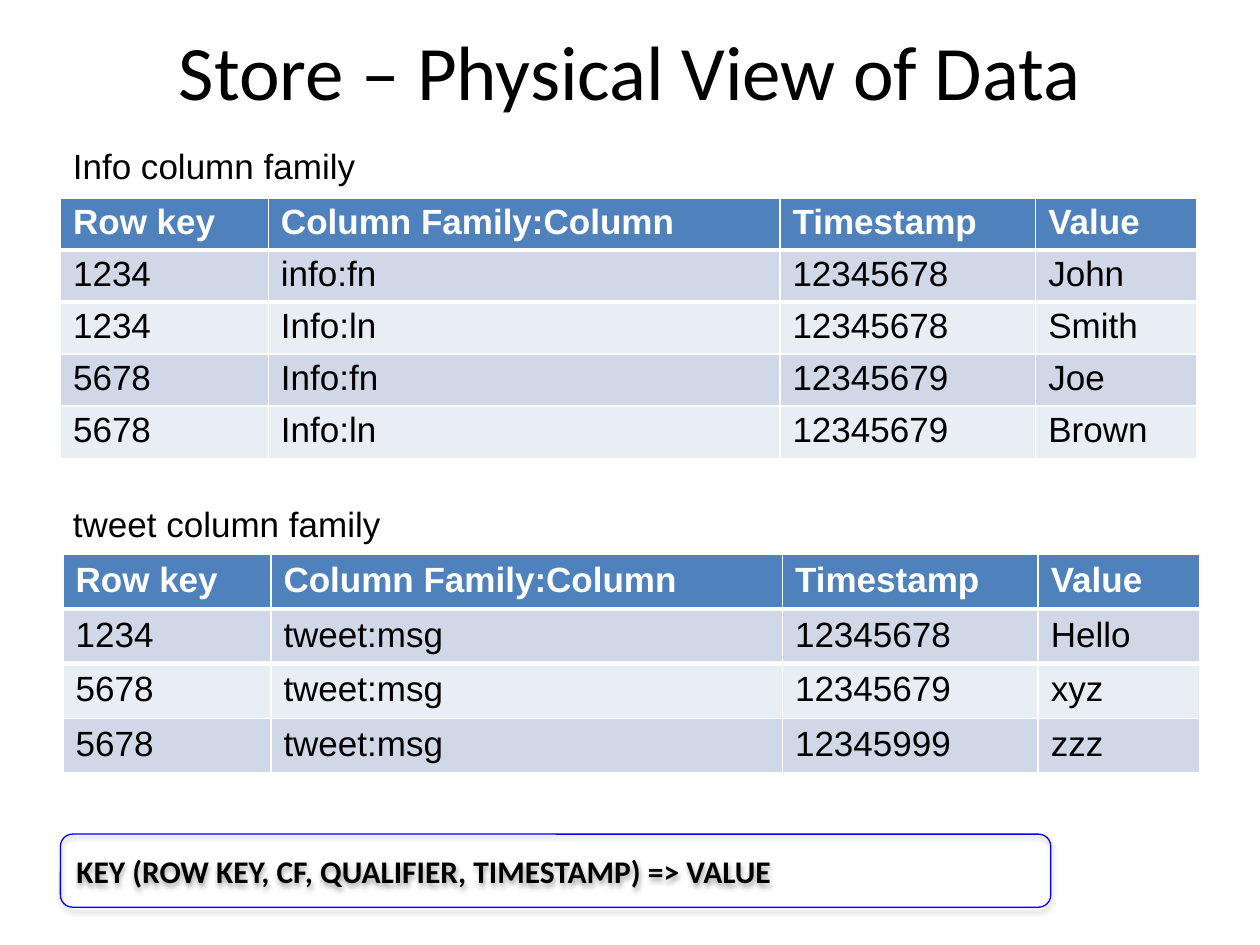
from dataclasses import dataclass

from lxml import etree
from pptx import Presentation, util as u
from pptx.dml.color import RGBColor
from pptx.enum import shapes, text
from pptx.oxml import ns


@dataclass(frozen=True)
class Theme:
    ink: str = "000000"
    white: str = "FFFFFF"
    header: str = "4F81BD"
    bands: tuple[str, str] = ("D0D8E8", "E9EDF4")
    outline: str = "0000FF"
    heading_font: str = "Calibri"
    body_font: str = "Arial"
    title_size: int = 44
    body_size: int = 20
    key_size: int = 18


@dataclass(frozen=True)
class Area:
    """A place on the slide, in shares of its width and height."""
    left: float
    top: float
    width: float
    height: float

    def emu(self) -> tuple[int, int, int, int]:
        return (int(self.left * WIDTH), int(self.top * HEIGHT),
                int(self.width * WIDTH), int(self.height * HEIGHT))


@dataclass(frozen=True)
class Family:
    """A column family: its caption and the table below it, in inches."""
    caption: str
    caption_top: float
    left: float
    top: float
    row_height: float
    cell_margin: float
    rows: tuple[tuple[str, ...], ...]


THEME = Theme()
WIDTH, HEIGHT = u.Inches(10), u.Inches(7.5)
HEADINGS = ("Row key", "Column Family:Column", "Timestamp", "Value")
COLUMNS = (1.65, 4.06, 2.03, 1.28)
FAMILIES = (
    Family("Info column family", 1.1, 0.48, 1.57, 0.41, 0.04, (
        ("1234", "info:fn", "12345678", "John"),
        ("1234", "Info:ln", "12345678", "Smith"),
        ("5678", "Info:fn", "12345679", "Joe"),
        ("5678", "Info:ln", "12345679", "Brown"),
    )),
    Family("tweet column family", 3.94, 0.5, 4.4, 0.43, 0.05, (
        ("1234", "tweet:msg", "12345678", "Hello"),
        ("5678", "tweet:msg", "12345679", "xyz"),
        ("5678", "tweet:msg", "12345999", "zzz"),
    )),
)


def inches(left: float, top: float, width: float, height: float) -> Area:
    return Area(left / 10, top / 7.5, width / 10, height / 7.5)


def write(frame, words: str, font: str, size: int, color: str = THEME.ink,
          bold: bool = False, align=text.PP_ALIGN.LEFT) -> None:
    para = frame.paragraphs[0]
    para.add_run().text = words
    para.alignment = align
    para.font.name, para.font.size, para.font.bold = font, u.Pt(size), bold
    para.font.color.rgb = RGBColor.from_string(color)


def add_label(page, area: Area, words: str, font: str, size: int,
              align=text.PP_ALIGN.LEFT, anchor=text.MSO_ANCHOR.TOP) -> None:
    frame = page.shapes.add_textbox(*area.emu()).text_frame
    frame.word_wrap = True
    frame.vertical_anchor = anchor
    write(frame, words, font, size, align=align)


def add_border(cell, side: str, points: float) -> None:
    """Draw a white border; borders must come before the cell's fill."""
    line = etree.Element(ns.qn(f"a:{side}"), w=str(u.Pt(points)))
    fill = etree.SubElement(line, ns.qn("a:solidFill"))
    etree.SubElement(fill, ns.qn("a:srgbClr"), val=THEME.white)
    cell.fill.solid()
    cell._tc.tcPr.insert(0, line)


def add_family(page, family: Family) -> None:
    add_label(page, inches(0.48, family.caption_top, 3.18, 0.44),
              family.caption, THEME.body_font, THEME.body_size)
    lines = (HEADINGS, *family.rows)
    area = inches(family.left, family.top, sum(COLUMNS),
                  family.row_height * len(lines))
    table = page.shapes.add_table(len(lines), len(COLUMNS), *area.emu()).table
    for column, width in zip(table.columns, COLUMNS):
        column.width = u.Inches(width)
    for number, line in enumerate(lines):
        is_header = number == 0
        fill = THEME.header if is_header else THEME.bands[(number - 1) % 2]
        color = THEME.white if is_header else THEME.ink
        for cell, words in zip(table.rows[number].cells, line):
            if number < 2:
                add_border(cell, "lnB" if is_header else "lnT", 3)
            cell.fill.solid()
            cell.fill.fore_color.rgb = RGBColor.from_string(fill)
            cell.margin_top = cell.margin_bottom = u.Inches(family.cell_margin)
            write(cell.text_frame, words, THEME.body_font, THEME.body_size,
                  color, is_header)


def add_shadow(box) -> None:
    """Give the box a soft black shadow straight below it."""
    box.shadow.inherit = False
    effects = box.element.spPr.find(ns.qn("a:effectLst"))
    shadow = etree.SubElement(
        effects, ns.qn("a:outerShdw"), blurRad=str(u.Pt(3.1)),
        dist=str(u.Pt(1.8)), dir="5400000", rotWithShape="0")
    color = etree.SubElement(shadow, ns.qn("a:srgbClr"), val=THEME.ink)
    etree.SubElement(color, ns.qn("a:alpha"), val="35000")


def add_key_box(page, area: Area, words: str) -> None:
    box = page.shapes.add_shape(
        shapes.MSO_SHAPE.ROUNDED_RECTANGLE, *area.emu())
    box.fill.background()
    box.line.color.rgb = RGBColor.from_string(THEME.outline)
    box.line.width = u.Pt(0.75)
    add_shadow(box)
    box.text_frame.word_wrap = True
    box.text_frame.vertical_anchor = text.MSO_ANCHOR.MIDDLE
    write(box.text_frame, words, THEME.heading_font, THEME.key_size, bold=True)


def main() -> None:
    deck = Presentation()
    deck.slide_width, deck.slide_height = WIDTH, HEIGHT
    page = deck.slides.add_slide(deck.slide_layouts[6])
    add_label(page, inches(0.5, 0, 9, 1.1), "Store – Physical View of Data",
              THEME.heading_font, THEME.title_size, text.PP_ALIGN.CENTER,
              text.MSO_ANCHOR.MIDDLE)
    for family in FAMILIES:
        add_family(page, family)
    add_key_box(page, inches(0.48, 6.62, 7.86, 0.58),
                "KEY (ROW KEY, CF, QUALIFIER, TIMESTAMP) => VALUE")
    deck.save("out.pptx")


if __name__ == "__main__":
    main()
